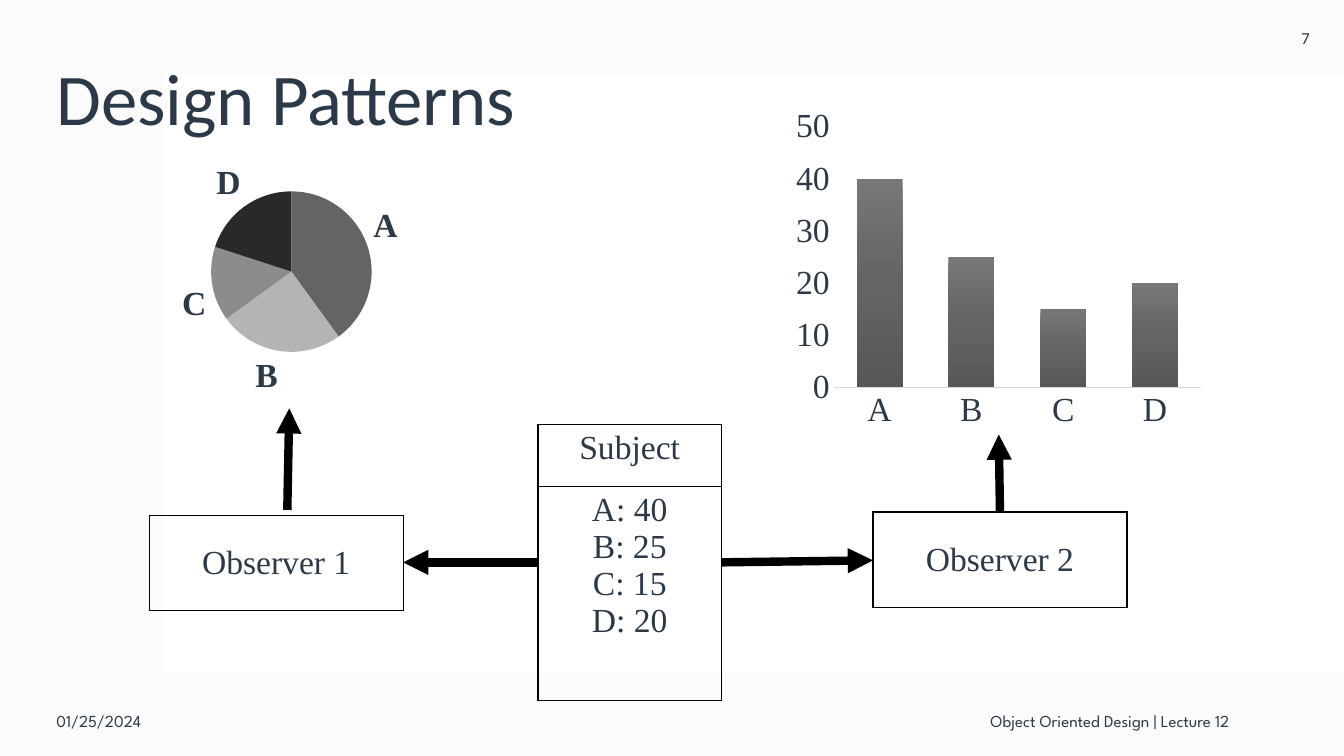
from lxml import etree
from pptx import Presentation
from pptx.chart.data import CategoryChartData
from pptx.dml.color import RGBColor
from pptx.enum import chart as chart_types, shapes, text
from pptx.oxml.ns import qn
from pptx.util import Cm, Pt

# Content
TITLE = "Design Patterns"
VALUES = {"A": 40, "B": 25, "C": 15, "D": 20}
SUBJECT = ["Subject", "\v".join(f"{name}: {value}" for name, value in VALUES.items())]
COLORS = {"text": "2C3948", "line": "000000", "axis": "D9D9D9",
          "backdrop": "F4F4F4", "panel": "FFFFFF"}
SLICES = ["646464", "B4B4B4", "8C8C8C", "292929"]
BAR_GRADIENT = [(0, "777777"), (50, "646464"), (100, "585858")]
SERIF, SANS, FOOTER = "Times New Roman", "Calibri", "League Spartan"
LEFT, CENTER, RIGHT = text.PP_ALIGN.LEFT, text.PP_ALIGN.CENTER, text.PP_ALIGN.RIGHT
TOP, MIDDLE = text.MSO_ANCHOR.TOP, text.MSO_ANCHOR.MIDDLE

# Places in cm: left, top, width, height
WIDTH, HEIGHT = 33.87, 19.05
BACKDROPS = [((0, 0, WIDTH, HEIGHT), "backdrop", 35),
             ((4.11, 1.88, 29.76, 15.06), "panel", 100)]
TITLE_BOX = (1.17, 1.02, 30.02, 3.12)
LABELS = [("7", (31.95, 0, 1.91, 1.91), SANS, CENTER),
          ("01/25/2024", (1.17, 17.27, 7.62, 1.78), FOOTER, LEFT),
          ("Object Oriented Design | Lecture 12", (10.46, 17.27, 20.78, 1.78), FOOTER, RIGHT)]
# Tables: cell texts, left, top, width, row heights, anchor
TABLES = [(SUBJECT, 13.56, 10.69, 4.62, [1.57, 5.39], TOP),
          (["Observer 1"], 3.76, 12.98, 6.4, [2.41], MIDDLE),
          (["Observer 2"], 22, 12.9, 6.4, [2.41], MIDDLE)]
BAR_BOX, BAR_PLOT = (19.84, 2.51, 10.64, 8.43), (0.11, 0.08, 0.87, 0.78)
PIE_BOX, PIE_PLOT = (2.79, 3.63, 9.02, 6.63), (0.28, 0.18, 0.45, 0.61)
ARROWS = [(13.56, 14.17, 10.16, 14.17), (7.24, 12.85, 7.29, 10.29),
          (25.2, 12.9, 25.17, 10.95), (18.19, 14.17, 22, 14.12)]


def cm(lengths):
    return [Cm(length) for length in lengths]


def rgb(name):
    return RGBColor.from_string(COLORS.get(name, name))


def style_font(font, name, size, bold=False):
    font.name, font.size, font.bold = name, Pt(size), bold
    font.color.rgb = rgb("text")


def write(frame, content, name, size, align):
    frame.text = content
    paragraph = frame.paragraphs[0]
    paragraph.alignment = align
    for run in paragraph.runs:
        style_font(run.font, name, size)


def add_border(cell):
    properties = cell._tc.get_or_add_tcPr()
    for index, side in enumerate(("lnL", "lnR", "lnT", "lnB")):
        line = etree.Element(qn(f"a:{side}"), w=str(Pt(1)))
        fill = etree.SubElement(line, qn("a:solidFill"))
        etree.SubElement(fill, qn("a:srgbClr"), val=COLORS["line"])
        properties.insert(index, line)


def add_table(slide, texts, left, top, width, heights, anchor):
    frame = slide.shapes.add_table(len(texts), 1, *cm((left, top, width, sum(heights))))
    table = frame.table
    table.first_row = table.horz_banding = False
    for row, content, height in zip(table.rows, texts, heights):
        row.height = Cm(height)
        cell = row.cells[0]
        cell.fill.background()
        cell.vertical_anchor = anchor
        write(cell.text_frame, content, SERIF, 24, CENTER)
        add_border(cell)


def add_chart(slide, kind, box, plot_box):
    data = CategoryChartData()
    data.categories = list(VALUES)
    data.add_series("Series 1", list(VALUES.values()))
    chart = slide.shapes.add_chart(kind, *cm(box), data).chart
    chart.has_legend = chart.has_title = False
    # Fix the inner plot area
    area = chart._chartSpace.chart.plotArea
    for old in area.findall(qn("c:layout")):
        area.remove(old)
    layout = etree.Element(qn("c:layout"))
    manual = etree.SubElement(layout, qn("c:manualLayout"))
    settings = [("layoutTarget", "inner"), ("xMode", "edge"), ("yMode", "edge"),
                *zip("xywh", plot_box)]
    for tag, value in settings:
        etree.SubElement(manual, qn(f"c:{tag}"), val=str(value))
    area.insert(0, layout)
    return chart


def fill_gradient(series, stops):
    series.format.fill.solid()
    properties = series._element.spPr
    gradient = etree.Element(qn("a:gradFill"), rotWithShape="1")
    stop_list = etree.SubElement(gradient, qn("a:gsLst"))
    for position, color in stops:
        stop = etree.SubElement(stop_list, qn("a:gs"), pos=str(position * 1000))
        etree.SubElement(stop, qn("a:srgbClr"), val=color)
    etree.SubElement(gradient, qn("a:lin"), ang=str(90 * 60000), scaled="0")
    properties.replace(properties.find(qn("a:solidFill")), gradient)


def add_bar_chart(slide):
    chart = add_chart(slide, chart_types.XL_CHART_TYPE.COLUMN_CLUSTERED, BAR_BOX, BAR_PLOT)
    plot = chart.plots[0]
    plot.gap_width, plot.overlap, plot.vary_by_categories = 100, -24, False
    fill_gradient(plot.series[0], BAR_GRADIENT)
    for axis in (chart.category_axis, chart.value_axis):
        axis.has_major_gridlines = False
        axis.major_tick_mark = axis.minor_tick_mark = chart_types.XL_TICK_MARK.NONE
        style_font(axis.tick_labels.font, SERIF, 24)
    chart.category_axis.format.line.color.rgb = rgb("axis")
    chart.category_axis.format.line.width = Pt(1)
    chart.value_axis.format.line.fill.background()
    chart.value_axis.minimum_scale, chart.value_axis.maximum_scale = 0, 50
    chart.value_axis.major_unit = 10


def add_pie_chart(slide):
    chart = add_chart(slide, chart_types.XL_CHART_TYPE.PIE, PIE_BOX, PIE_PLOT)
    plot = chart.plots[0]
    for index, color in enumerate(SLICES):
        fill = plot.series[0].points[index].format.fill
        fill.solid()
        fill.fore_color.rgb = rgb(color)
    plot.has_data_labels = True
    labels = plot.data_labels
    labels.show_category_name = True
    labels.show_value = labels.show_percentage = False
    labels.position = chart_types.XL_LABEL_POSITION.OUTSIDE_END
    style_font(labels.font, SERIF, 24, bold=True)


def add_arrow(slide, ends):
    arrow = slide.shapes.add_connector(shapes.MSO_CONNECTOR.STRAIGHT, *cm(ends))
    arrow.line.color.rgb = rgb("line")
    arrow.line.width = Pt(6)
    etree.SubElement(arrow.line._get_or_add_ln(), qn("a:tailEnd"), type="triangle")
    etree.SubElement(arrow._element.spPr, qn("a:effectLst"))


def main():
    presentation = Presentation()
    presentation.slide_width, presentation.slide_height = cm((WIDTH, HEIGHT))
    slide = presentation.slides.add_slide(presentation.slide_layouts[5])

    # Backdrop, behind the title
    for box, color, opacity in BACKDROPS:
        shape = slide.shapes.add_shape(shapes.MSO_SHAPE.RECTANGLE, *cm(box))
        shape.shadow.inherit = False
        shape.fill.solid()
        shape.fill.fore_color.rgb = rgb(color)
        shape.line.fill.background()
        tint = shape._element.spPr.find(".//" + qn("a:srgbClr"))
        etree.SubElement(tint, qn("a:alpha"), val=str(opacity * 1000))

    # Title
    title = slide.shapes.title
    slide.shapes._spTree.append(title._element)
    title.left, title.top, title.width, title.height = cm(TITLE_BOX)
    title.text_frame.vertical_anchor = MIDDLE
    write(title.text_frame, TITLE, SANS, 52, LEFT)
    title.text_frame.paragraphs[0].line_spacing = 0.9

    # Page number, date and footer
    for content, box, font, align in LABELS:
        frame = slide.shapes.add_textbox(*cm(box)).text_frame
        frame.word_wrap = True
        frame.vertical_anchor = MIDDLE
        write(frame, content, font, 12, align)

    # Subject, observers, their charts and the arrows between them
    for table in TABLES:
        add_table(slide, *table)
    add_bar_chart(slide)
    add_pie_chart(slide)
    for ends in ARROWS:
        add_arrow(slide, ends)

    presentation.save("out.pptx")


if __name__ == "__main__":
    main()
